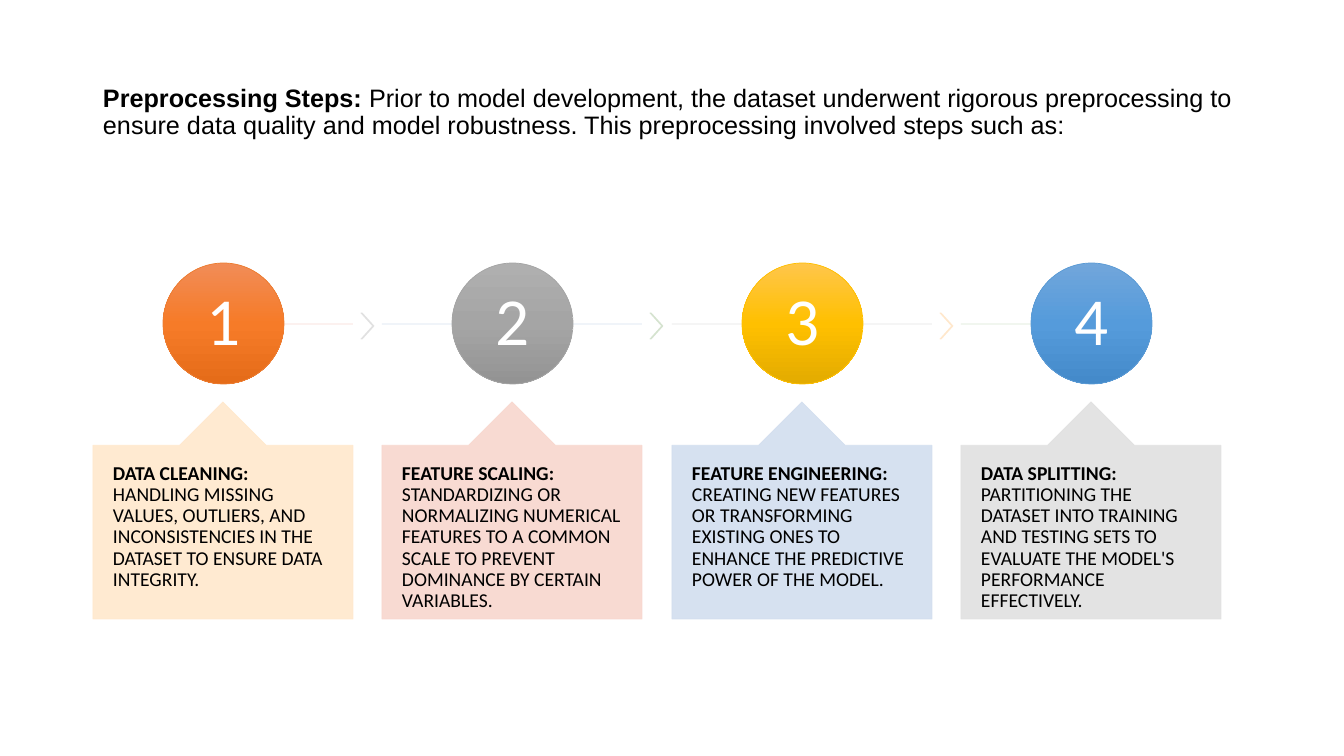
"""Build a slide of four numbered preprocessing steps joined by a line."""
from copy import deepcopy

from lxml import etree
from pptx import Presentation
from pptx.dml.color import RGBColor
from pptx.enum.shapes import MSO_CONNECTOR, MSO_SHAPE
from pptx.enum.text import MSO_ANCHOR, PP_ALIGN
from pptx.oxml.ns import qn
from pptx.util import Pt

PX = 914400 / 100.8
STRAIGHT = MSO_CONNECTOR.STRAIGHT
OVAL, CHEVRON, CALLOUT = MSO_SHAPE.OVAL, MSO_SHAPE.CHEVRON, MSO_SHAPE.UP_ARROW_CALLOUT
TOP, MIDDLE = MSO_ANCHOR.TOP, MSO_ANCHOR.MIDDLE
LEFT, CENTER = PP_ALIGN.LEFT, PP_ALIGN.CENTER

THEME = {
    "text": "000000", "number": "FFFFFF",
    "cream": "FFE8CC", "pink": "F8D7CE", "blue": "D2DEEF",
    "grey": "E1E1E1", "green": "D5E3CF",
    "title_font": "Arial", "body_font": "Calibri",
    "title_size": 18, "number_size": 48, "body_size": 14,
    "outline": 0.5, "opacity": "90000",
}

STEPS = [
    {"heading": "DATA CLEANING:",
     "detail": " HANDLING MISSING VALUES, OUTLIERS, AND INCONSISTENCIES IN THE DATASET "
               "TO ENSURE DATA INTEGRITY.",
     "card": "cream", "line": "pink", "chevron": "grey", "reach": (145, 260),
     "rim": "ED7D31", "gradient": ("F18C57", "F67B28", "E56C19")},
    {"heading": "FEATURE SCALING:",
     "detail": " STANDARDIZING OR NORMALIZING NUMERICAL FEATURES TO A COMMON SCALE "
               "TO PREVENT DOMINANCE BY CERTAIN VARIABLES.",
     "card": "pink", "line": "blue", "chevron": "green", "reach": (0, 260),
     "rim": "A5A5A5", "gradient": ("AFAFAF", "A5A5A5", "939393")},
    {"heading": "FEATURE ENGINEERING:",
     "detail": " CREATING NEW FEATURES OR TRANSFORMING EXISTING ONES TO ENHANCE "
               "THE PREDICTIVE POWER OF THE MODEL.",
     "card": "blue", "line": "grey", "chevron": "cream", "reach": (0, 260),
     "rim": "FFC000", "gradient": ("FFC64B", "FFC000", "E3AB00")},
    {"heading": "DATA SPLITTING:",
     "detail": " PARTITIONING THE DATASET INTO TRAINING AND TESTING SETS TO EVALUATE "
               "THE MODEL'S PERFORMANCE EFFECTIVELY.",
     "card": "grey", "line": "green", "chevron": None, "reach": (0, 130),
     "rim": "5B9BD5", "gradient": ("71A6DB", "559BDB", "448ACA")},
]


def write(shape, spans, kind, color, align, anchor, inset):
    """Fill a shape with one paragraph of (text, bold) spans."""
    frame = shape.text_frame
    margins = dict(zip(("margin_left", "margin_right", "margin_top", "margin_bottom"),
                       (round(inset[0] * PX),) * 2 + (round(inset[1] * PX),) * 2))
    for name, value in {"word_wrap": True, "vertical_anchor": anchor, **margins}.items():
        setattr(frame, name, value)
    para = frame.paragraphs[0]
    para.alignment, para.line_spacing = align, 0.9
    for text, bold in spans:
        span = para.add_run()
        span.text = text
        font_name = THEME["title_font" if kind == "title" else "body_font"]
        values = {"name": font_name, "size": Pt(THEME[kind + "_size"]), "bold": bold}
        for name, value in values.items():
            setattr(span.font, name, value)
        span.font.color.rgb = RGBColor.from_string(THEME[color])


def add_tinted(preset, box, tint, adjustments):
    """Add a preset shape with a slightly transparent fill and outline."""
    shape = page.shapes.add_shape(preset, *(round(length * PX) for length in box))
    shape.shadow.inherit = False
    shape.fill.solid()
    for color in (shape.fill.fore_color, shape.line.color):
        color.rgb = RGBColor.from_string(THEME[tint])
    shape.line.width = Pt(THEME["outline"])
    for index, value in enumerate(adjustments):
        shape.adjustments[index] = value
    for node in shape._element.spPr.iter(qn("a:srgbClr")):
        etree.SubElement(node, qn("a:alpha")).set("val", THEME["opacity"])
    return shape


deck = Presentation()
deck.slide_width, deck.slide_height = round(1344 * PX), round(756 * PX)
page = deck.slides.add_slide(deck.slide_layouts[6])

title = page.shapes.add_textbox(*(round(length * PX) for length in (93, 40, 1159, 146)))
write(title, [("Preprocessing Steps: ", True),
              ("Prior to model development, the dataset underwent rigorous preprocessing to "
               "ensure data quality and model robustness. This preprocessing involved steps "
               "such as:", False)], "title", "text", LEFT, MIDDLE, (10, 5))

for index, step in enumerate(STEPS):
    left = 93 + index * 579 // 2

    start, end = (round((left + reach) * PX) for reach in step["reach"])
    level = round(324 * PX)
    line = page.shapes.add_connector(STRAIGHT, start, level, end, level)
    line.line.color.rgb = RGBColor.from_string(THEME[step["line"]])
    line.line.width = Pt(THEME["outline"])
    properties = line._element.spPr
    etree.SubElement(properties, qn("a:effectLst"))
    for node in properties.iter(qn("a:srgbClr")):
        etree.SubElement(node, qn("a:alpha")).set("val", THEME["opacity"])

    if step["chevron"]:
        add_tinted(CHEVRON, (left + 268, 313, 13, 26), step["chevron"], [0.9])

    circle_box = (left + 70, 263, 121, 121)
    circle = page.shapes.add_shape(OVAL, *(round(length * PX) for length in circle_box))
    circle.shadow.inherit = False
    circle.line.color.rgb = RGBColor.from_string(step["rim"])
    circle.line.width = Pt(THEME["outline"])
    circle.fill.gradient()
    circle.fill.gradient_angle = 270
    stop_list = circle._element.spPr.find(qn("a:gradFill")).find(qn("a:gsLst"))
    stop_list.append(deepcopy(stop_list[0]))
    for stop, position, tint in zip(circle.fill.gradient_stops, (0, 0.5, 1), step["gradient"]):
        stop.position = position
        stop.color.rgb = RGBColor.from_string(tint)
    write(circle, [(str(index + 1), False)], "number", "number", CENTER, MIDDLE, (5, 5))

    card = add_tinted(CALLOUT, (left, 402, 260, 217), step["card"], [0.5, 0.2, 0.2, 0.8])
    write(card, [(step["heading"], True), (step["detail"], False)],
          "body", "text", LEFT, TOP, (20, 18))

deck.save("out.pptx")
